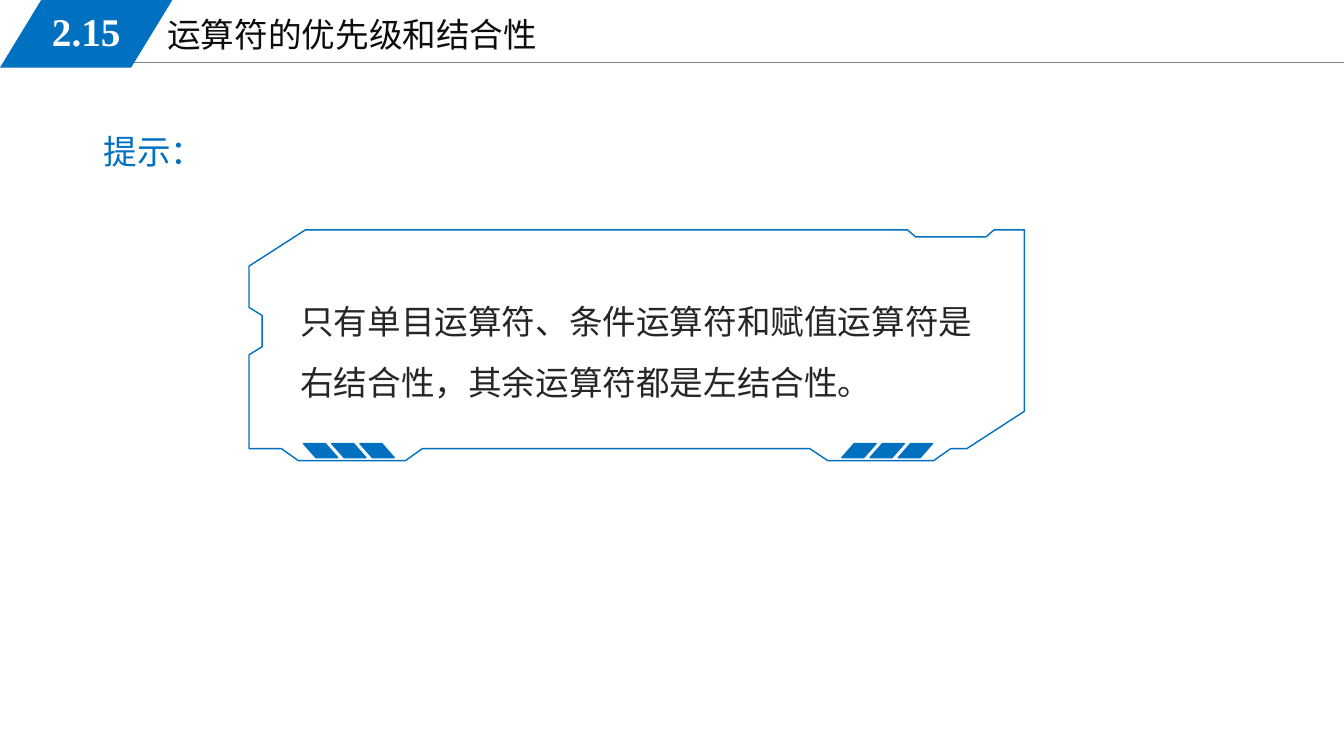
from dataclasses import dataclass

from lxml import etree
from pptx import Presentation
from pptx import util as u
from pptx.dml.color import RGBColor
from pptx.enum import shapes, text
from pptx.oxml.ns import qn

WIDE, HIGH = 13.33, 7.5

# Boxes are left, top, width, height in inches
TITLE = ("运算符的优先级和结合性", (1.56, 0.09, 5.67, 0.51))
NUMBER = ("2.15", (0.25, 0.02, 1.21, 0.58))
HINT = ("提示：", (0.93, 1.25, 6.49, 0.5))
RULE = ("只有单目运算符、条件运算符和赋值运算符是右结合性，其余运算符都是左结合性。",
        (2.88, 2.74, 7.03, 1.24))
TAG = (0, 0, 1.71, 0.67)
LINE_X, LINE_Y = 1.13, 0.62

# Frame corners in hundredths of an inch, clockwise from the top left
FRAME = [
    (303, 228), (900, 228), (908, 235), (978, 235), (986, 228), (1016, 228),
    (1016, 408), (959, 445), (943, 445), (926, 457), (821, 457), (803, 445),
    (419, 445), (402, 457), (296, 457), (279, 445), (247, 445), (247, 352),
    (260, 344), (260, 313), (247, 305), (247, 264),
]

# Stripe groups: left edge of the first stripe, mirrored or not
STRIPES = [(8.35, False), (3.01, True)]
COUNT, STEP = 3, 0.28
STRIPE_Y, STRIPE_W, STRIPE_H = 4.4, 0.34, 0.14


@dataclass(frozen=True)
class Theme:
    blue: str = "0070C0"
    ink: str = "0D0D0D"
    body: str = "262626"
    gray: str = "808080"
    white: str = "FFFFFF"
    serif: str = "Times New Roman"
    sans: str = "Noto Sans CJK SC"
    size: int = 24
    large: int = 28


theme = Theme()
deck = Presentation()
deck.slide_width, deck.slide_height = u.Inches(WIDE), u.Inches(HIGH)
slide = deck.slides.add_slide(deck.slide_layouts[5])
parts = slide.shapes


def rgb(code):
    return RGBColor.from_string(code)


def inches(box):
    return [u.Inches(n) for n in box]


def write(words, box, shape=None, face=theme.sans, size=theme.size,
          color=theme.body, bold=False, align=text.PP_ALIGN.LEFT,
          anchor=text.MSO_ANCHOR.TOP, space=1.0):
    """Put words in the given shape, or in a new text box."""
    spot = inches(box)
    shape = shape or parts.add_textbox(*spot)
    shape.left, shape.top, shape.width, shape.height = spot
    frame = shape.text_frame
    frame.text = words
    frame.word_wrap = True
    frame.auto_size = text.MSO_AUTO_SIZE.SHAPE_TO_FIT_TEXT
    frame.vertical_anchor = anchor
    para = frame.paragraphs[0]
    para.alignment, para.line_spacing = align, space
    run = para.runs[0]
    font = run.font
    font.name, font.size, font.bold = face, u.Pt(size), bold
    font.color.rgb = rgb(color)
    east = etree.SubElement(run._r.get_or_add_rPr(), qn("a:ea"))
    east.set("typeface", theme.sans)


def paint(shape, fill=None, line=None):
    shape.shadow.inherit = False
    if fill:
        shape.fill.solid()
        shape.fill.fore_color.rgb = rgb(fill)
    else:
        shape.fill.background()
    if line:
        shape.line.color.rgb = rgb(line)
        shape.line.width = u.Pt(1)
    else:
        shape.line.fill.background()


def slant(box, ratio, line=None, flip=False):
    """Add a blue parallelogram, mirrored if flip is set."""
    shape = parts.add_shape(shapes.MSO_SHAPE.PARALLELOGRAM, *inches(box))
    shape.adjustments[0] = ratio
    paint(shape, theme.blue, line)
    if flip:
        shape._element.spPr.find(qn("a:xfrm")).set("flipH", "1")


def header():
    rule = parts.add_connector(shapes.MSO_CONNECTOR.STRAIGHT,
                               *inches((LINE_X, LINE_Y, WIDE, LINE_Y)))
    rule.line.color.rgb = rgb(theme.gray)
    rule.line.width = u.Pt(0.75)
    etree.SubElement(rule._element.spPr, qn("a:effectLst"))
    write(*TITLE, shape=parts.title, face=theme.serif, color=theme.ink)
    slant(TAG, 0.61)
    write(*NUMBER, face=theme.serif, size=theme.large, color=theme.white,
          bold=True, align=text.PP_ALIGN.CENTER,
          anchor=text.MSO_ANCHOR.MIDDLE)


def panel():
    outline = parts.build_freeform(*FRAME[0], scale=u.Inches(0.01))
    outline.add_line_segments(FRAME[1:], close=True)
    paint(outline.convert_to_shape(), line=theme.blue)
    for left, flip in STRIPES:
        for i in range(COUNT):
            slant((left + i * STEP, STRIPE_Y, STRIPE_W, STRIPE_H), 0.88,
                  line=theme.blue, flip=flip)


def main():
    header()
    write(*HINT, color=theme.blue)
    write(*RULE, space=1.5)
    panel()
    deck.save("out.pptx")


if __name__ == "__main__":
    main()
